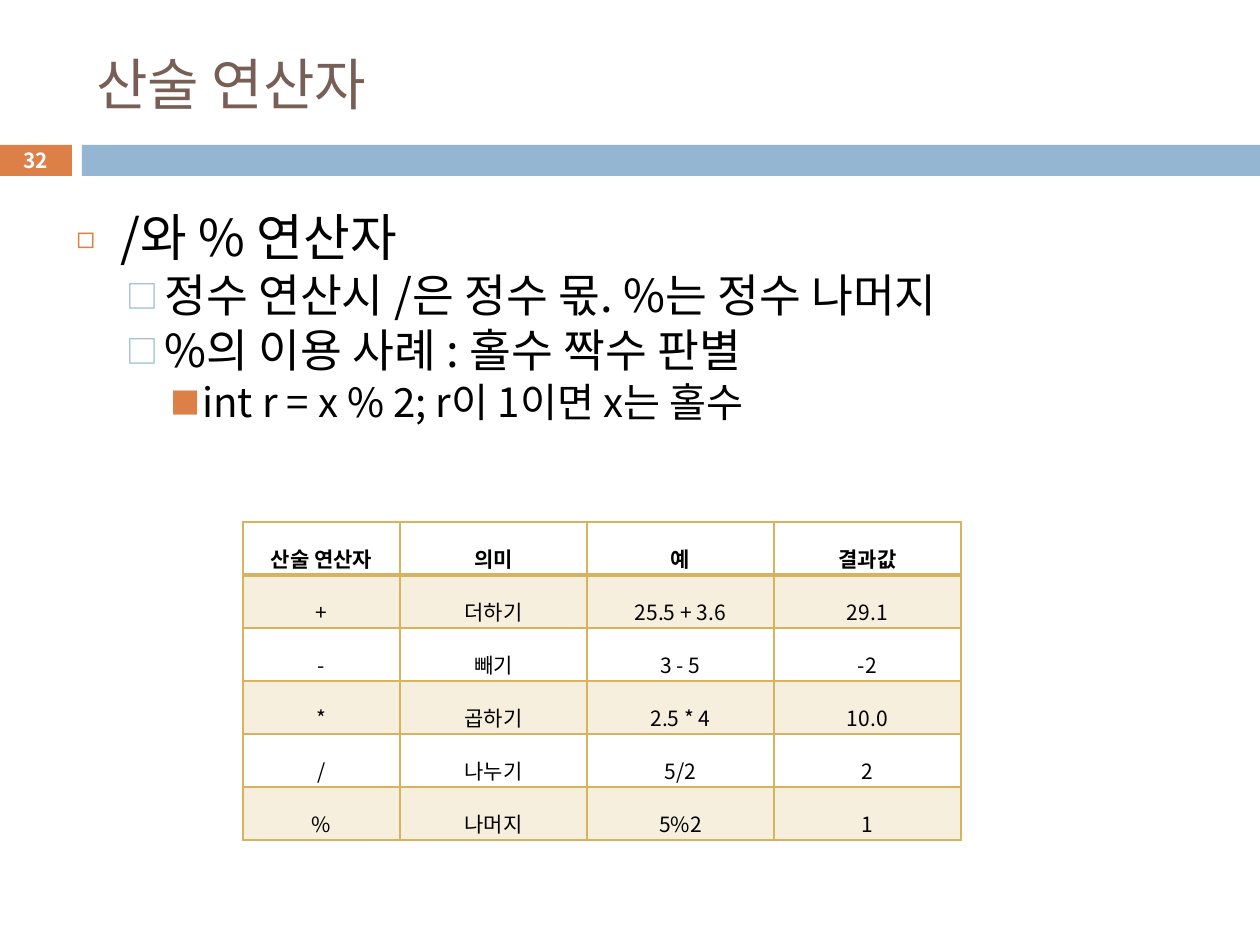
"""Build the slide on arithmetic operators: title, bar, bullets and table."""
from typing import NamedTuple

from lxml import etree
from pptx import Presentation
from pptx import util as u
from pptx.dml.color import RGBColor
from pptx.enum import shapes, text
from pptx.oxml.ns import qn

SCALE = 914400 / 126
FACE = "Noto Sans CJK KR"
ORANGE = RGBColor(0xDD, 0x80, 0x47)
BLUE = RGBColor(0x94, 0xB6, 0xD2)
BROWN = RGBColor(0x77, 0x5F, 0x55)
GOLD = RGBColor(0xD8, 0xB2, 0x5C)
BLACK = RGBColor(0, 0, 0)
WHITE = RGBColor(0xFF, 0xFF, 0xFF)
MIDDLE = text.MSO_ANCHOR.MIDDLE
CENTER = text.PP_ALIGN.CENTER


class Box(NamedTuple):
    left: int
    top: int
    width: int
    height: int


class Level(NamedTuple):
    left: int
    hang: int
    mark: str
    color: RGBColor
    ratio: int
    size: int
    gap: float


class Item(NamedTuple):
    level: int
    words: str


LEVELS = [
    Level(44, 44, "◻", ORANGE, 60, 29, 0),
    Level(88, 38, "□", BLUE, 70, 26, 5.5),
    Level(126, 32, "■", ORANGE, 75, 23, 5),
]
ITEMS = [
    Item(0, "/와 % 연산자"),
    Item(1, "정수 연산시 /은 정수 몫. %는 정수 나머지"),
    Item(1, "%의 이용 사례 : 홀수 짝수 판별"),
    Item(2, "int r = x % 2; r이 1이면 x는 홀수"),
]
ROWS = [
    ("산술 연산자", "의미", "예", "결과값"),
    ("+", "더하기", "25.5 + 3.6", "29.1"),
    ("-", "빼기", "3 - 5", "-2"),
    ("*", "곱하기", "2.5 * 4", "10.0"),
    ("/", "나누기", "5/2", "2"),
    ("%", "나머지", "5%2", "1"),
]
WIDTHS = [157, 187, 187, 187]
BARS = [(Box(-1, 145, 73, 31), ORANGE), (Box(82, 145, 1178, 31), BLUE)]


def px(size: int) -> int:
    return round(size * SCALE)


def place(box: Box) -> list[int]:
    return [px(side) for side in box]


def add(node, tag: str, **attrs):
    return etree.SubElement(node, qn(tag), attrs)


def style(para, size: float, color: RGBColor, bold: bool = False) -> None:
    font = para.font
    font.name, font.size, font.bold = FACE, u.Pt(size), bold
    font.color.rgb = color
    add(para._p.pPr.find(qn("a:defRPr")), "a:ea", typeface=FACE)


def bar(slide, box: Box, color: RGBColor) -> None:
    shape = slide.shapes.add_shape(shapes.MSO_SHAPE.RECTANGLE, *place(box))
    shape.shadow.inherit = False
    shape.fill.solid()
    shape.fill.fore_color.rgb = color
    shape.line.fill.background()


def frame(slide, box: Box):
    body = slide.shapes.add_textbox(*place(box)).text_frame
    body.word_wrap = True
    return body


def label(slide, box: Box, words: str, size: float, color: RGBColor):
    body = frame(slide, box)
    body.vertical_anchor = MIDDLE
    para = body.paragraphs[0]
    para.text = words
    style(para, size, color)
    return body


def bullet(para, item: Item) -> None:
    level = LEVELS[item.level]
    para.text = item.words
    para.level = item.level
    para.line_spacing = 0.83
    para.space_before = u.Pt(level.gap)
    props = para._p.get_or_add_pPr()
    props.set("marL", str(px(level.left)))
    props.set("indent", str(-px(level.hang)))
    add(add(props, "a:buClr"), "a:srgbClr", val=str(level.color))
    add(props, "a:buSzPct", val=str(level.ratio * 1000))
    add(props, "a:buFont", typeface=FACE)
    add(props, "a:buChar", char=level.mark)
    style(para, level.size, BLACK)


def edge(props, side: str, width: int) -> None:
    line = add(props, f"a:ln{side}", w=str(u.Pt(width)))
    add(add(line, "a:solidFill"), "a:srgbClr", val=str(GOLD))


def fill(cell, words: str, row: int) -> None:
    cell.text = words
    cell.vertical_anchor = MIDDLE
    cell.margin_left = cell.margin_right = px(9)
    cell.margin_top = cell.margin_bottom = px(3)
    para = cell.text_frame.paragraphs[0]
    para.alignment = CENTER
    para.line_spacing = 1.6
    style(para, 12, BLACK, row == 0)
    props = cell._tc.get_or_add_tcPr()
    for side in "LRTB":
        edge(props, side, 2 if (row, side) in {(0, "B"), (1, "T")} else 1)
    if row % 2:
        cell.fill.solid()
        cell.fill.fore_color.rgb = GOLD
        add(props.find(qn("a:solidFill"))[0], "a:alpha", val="20000")
    else:
        cell.fill.background()


def grid(slide, box: Box) -> None:
    table = slide.shapes.add_table(len(ROWS), len(WIDTHS), *place(box)).table
    table.first_row = table.horz_banding = False
    for col, width in zip(table.columns, WIDTHS):
        col.width = px(width)
    for r, row in enumerate(ROWS):
        table.rows[r].height = px(box.height // len(ROWS))
        for c, words in enumerate(row):
            fill(table.cell(r, c), words, r)


def main() -> None:
    deck = Presentation()
    deck.slide_width, deck.slide_height = px(1260), px(945)
    slide = deck.slides.add_slide(deck.slide_layouts[6])
    for box, color in BARS:
        bar(slide, box, color)
    label(slide, Box(84, 32, 1124, 103), "산술 연산자", 32, BROWN)
    body = frame(slide, Box(64, 210, 1132, 374))
    for n, item in enumerate(ITEMS):
        bullet(body.add_paragraph() if n else body.paragraphs[0], item)
    grid(slide, Box(243, 522, sum(WIDTHS), 318))
    page = label(slide, Box(-1, 143, 73, 34), "32", 11.9, WHITE)
    page.margin_top = page.margin_bottom = 0
    page.paragraphs[0].alignment = CENTER
    page.paragraphs[0].font.bold = True
    deck.save("out.pptx")


if __name__ == "__main__":
    main()
